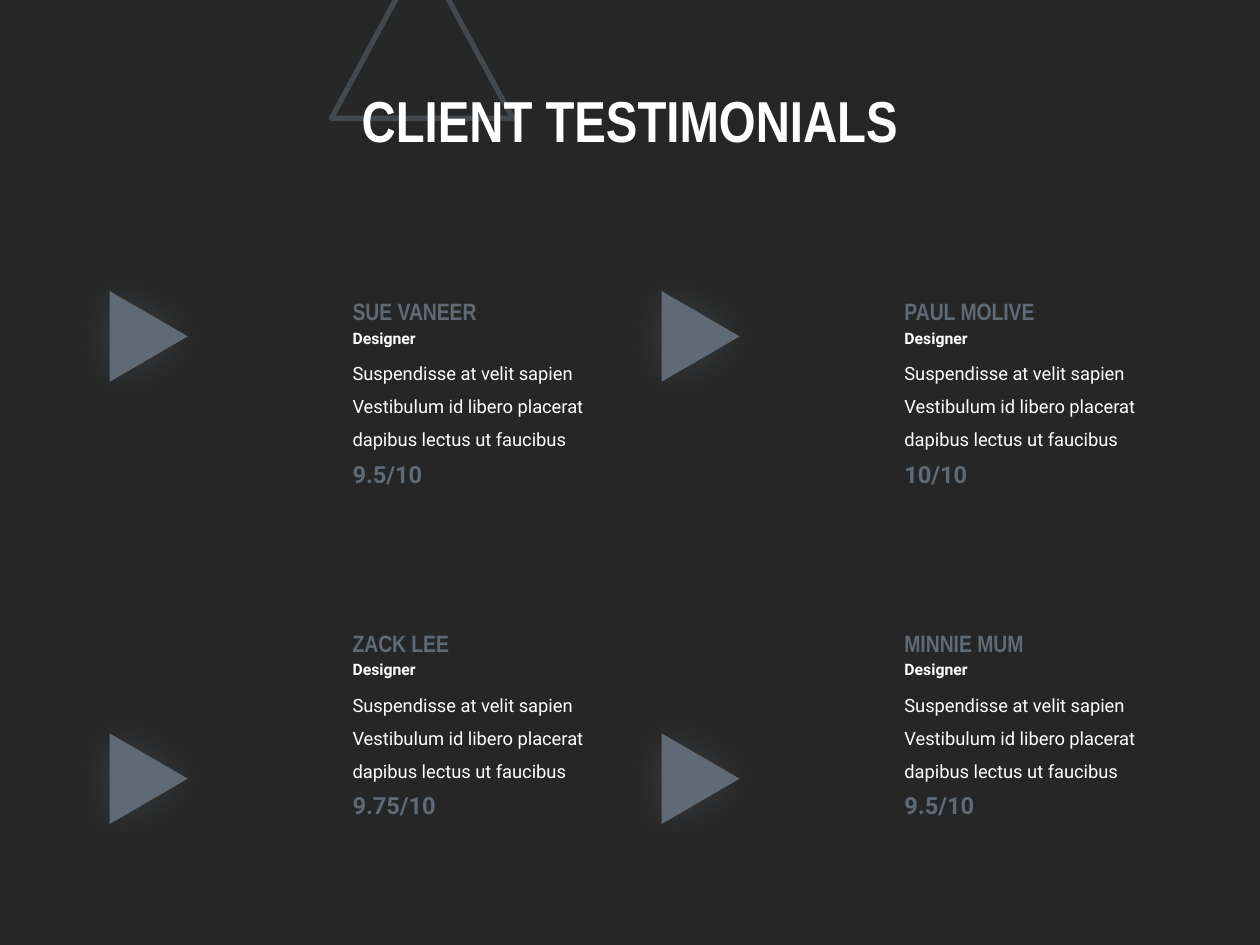
from dataclasses import dataclass

from lxml.etree import SubElement
from pptx import Presentation
from pptx.dml.color import RGBColor
from pptx.enum.shapes import MSO_SHAPE
from pptx.enum.text import MSO_ANCHOR, PP_ALIGN
from pptx.oxml.ns import qn
from pptx.util import Inches, Pt


@dataclass(frozen=True)
class Theme:
    background: str = "262626"
    accent: str = "606A74"
    light: str = "FFFFFF"
    heading_font: str = "Arial Narrow"
    body_font: str = "Roboto"
    title_size: float = 33
    name_size: float = 13.5
    body_size: float = 10.5
    role_size: float = 9


@dataclass(frozen=True)
class Box:
    left: float
    top: float
    width: float
    height: float

    def lengths(self) -> list:
        return [Inches(value) for value in (self.left, self.top, self.width, self.height)]


@dataclass(frozen=True)
class Style:
    font: str
    size: float
    color: str
    bold: bool = True
    line_spacing: float | None = None


@dataclass(frozen=True)
class Testimonial:
    column: int
    row: int
    name: str
    score: str


THEME = Theme()
TITLE = Style(THEME.heading_font, THEME.title_size, THEME.light, line_spacing=0.9)
NAME = Style(THEME.heading_font, THEME.name_size, THEME.accent)
ROLE = Style(THEME.body_font, THEME.role_size, THEME.light)
QUOTE = Style(THEME.body_font, THEME.body_size, THEME.light, bold=False, line_spacing=1.5)
SCORE = Style(THEME.body_font, THEME.name_size, THEME.accent)

# Grid: first cell origin and the steps between cells
TEXT_LEFT, TEXT_TOP = 2.7, 2.31
ARROW_LEFT, ARROW_TOP = 0.82, 2.36
COLUMN_STEP, TEXT_ROW_STEP, ARROW_ROW_STEP = 4.38, 2.63, 3.51

QUOTE_TEXT = ("Suspendisse at velit sapien Vestibulum id libero placerat "
              "dapibus lectus ut faucibus")
TESTIMONIALS = [
    Testimonial(0, 0, "SUE VANEER", "9.5/10"),
    Testimonial(0, 1, "ZACK LEE", "9.75/10"),
    Testimonial(1, 0, "PAUL MOLIVE", "10/10"),
    Testimonial(1, 1, "MINNIE MUM", "9.5/10"),
]


def add_text(page, box: Box, text: str, style: Style, align=PP_ALIGN.LEFT,
             anchor=MSO_ANCHOR.TOP) -> None:
    frame = page.shapes.add_textbox(*box.lengths()).text_frame
    frame.word_wrap = True
    frame.vertical_anchor = anchor
    para = frame.paragraphs[0]
    para.text = text
    para.alignment = align
    if style.line_spacing:
        para.line_spacing = style.line_spacing
    para.font.name = style.font
    para.font.size = Pt(style.size)
    para.font.bold = style.bold
    para.font.color.rgb = RGBColor.from_string(style.color)


def add_alpha(color_element, percent: int) -> None:
    SubElement(color_element, qn("a:alpha"), val=str(percent * 1000))


def add_triangle(page, box: Box, rotation: float = 0):
    """Draw a triangle with a soft glow-like shadow."""
    triangle = page.shapes.add_shape(MSO_SHAPE.ISOSCELES_TRIANGLE, *box.lengths())
    triangle.rotation = rotation
    triangle.shadow.inherit = False
    effects = triangle.element.spPr.find(qn("a:effectLst"))
    shadow = SubElement(effects, qn("a:outerShdw"), blurRad=str(Pt(25)), dist="0",
                        dir="0", algn="ctr", rotWithShape="0")
    add_alpha(SubElement(shadow, qn("a:srgbClr"), val=THEME.accent), 35)
    return triangle


def add_outline_triangle(page, box: Box) -> None:
    triangle = add_triangle(page, box)
    triangle.fill.background()
    triangle.line.width = Pt(3)
    triangle.line.color.rgb = RGBColor.from_string(THEME.accent)
    add_alpha(triangle.line._get_or_add_ln().find(".//" + qn("a:srgbClr")), 50)


def add_arrow(page, item: Testimonial) -> None:
    box = Box(ARROW_LEFT + item.column * COLUMN_STEP,
              ARROW_TOP + item.row * ARROW_ROW_STEP, 0.72, 0.62)
    arrow = add_triangle(page, box, rotation=90)
    arrow.fill.solid()
    arrow.fill.fore_color.rgb = RGBColor.from_string(THEME.accent)
    arrow.line.fill.background()


def add_testimonial(page, item: Testimonial) -> None:
    left = TEXT_LEFT + item.column * COLUMN_STEP
    top = TEXT_TOP + item.row * TEXT_ROW_STEP
    add_text(page, Box(left, top + 0.43, 2.13, 0.87), QUOTE_TEXT, QUOTE)
    add_text(page, Box(left, top, 1.39, 0.33), item.name, NAME)
    add_text(page, Box(left, top + 0.25, 0.78, 0.25), "Designer", ROLE)
    add_text(page, Box(left, top + 1.29, 1.12, 0.33), item.score, SCORE)


def main() -> None:
    deck = Presentation()
    deck.slide_width, deck.slide_height = Inches(10), Inches(7.5)
    page = deck.slides.add_slide(deck.slide_layouts[6])
    page.background.fill.solid()
    page.background.fill.fore_color.rgb = RGBColor.from_string(THEME.background)

    # Heading
    add_outline_triangle(page, Box(2.63, -0.39, 1.44, 1.33))
    add_text(page, Box(2.45, 0.49, 5.1, 0.98), "CLIENT TESTIMONIALS", TITLE,
             PP_ALIGN.CENTER, MSO_ANCHOR.MIDDLE)

    # Testimonials, then the arrows beside them
    for item in TESTIMONIALS:
        add_testimonial(page, item)
    for item in TESTIMONIALS:
        add_arrow(page, item)

    deck.save("out.pptx")


if __name__ == "__main__":
    main()
